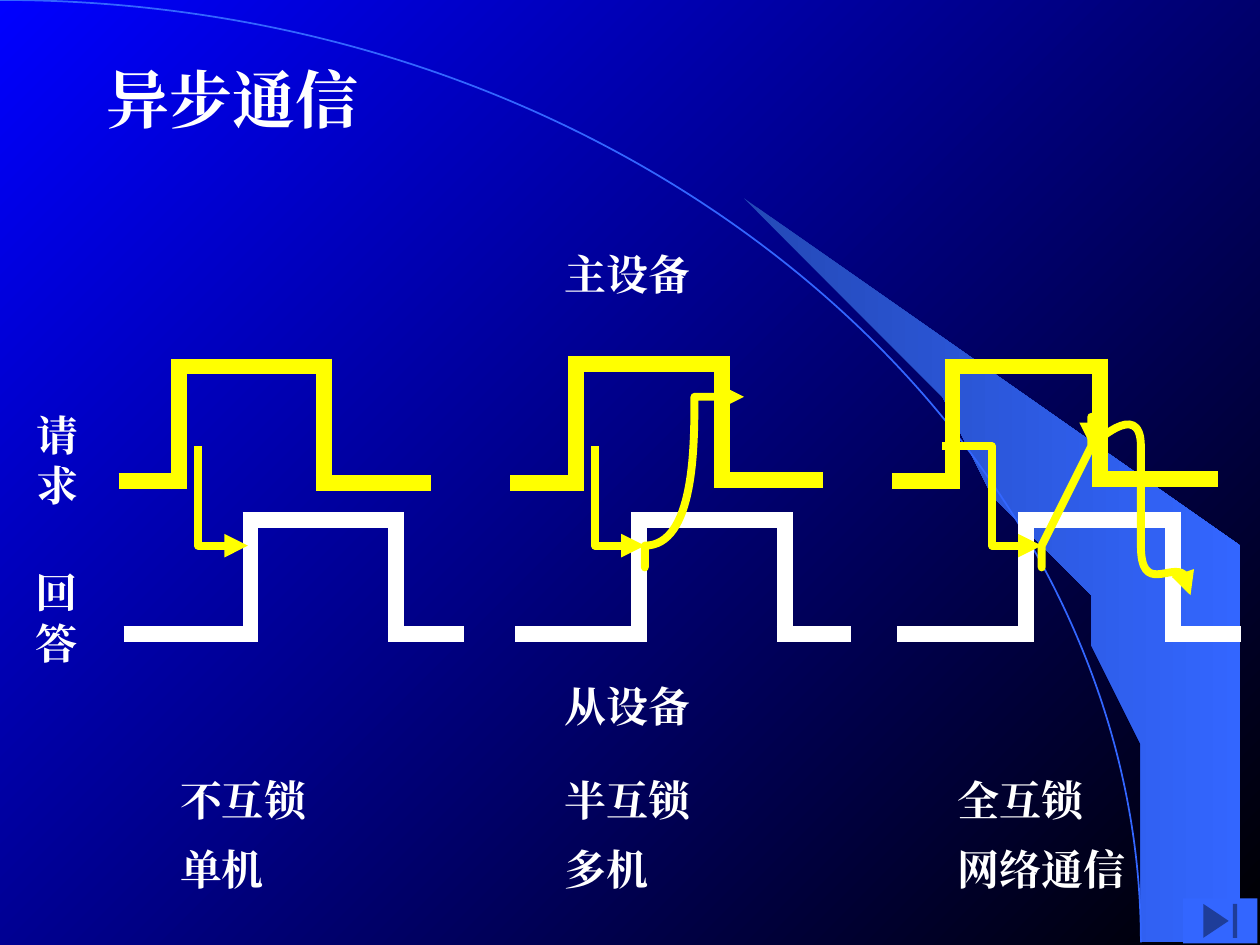
from lxml import etree
from pptx import Presentation
from pptx.dml.color import RGBColor
from pptx.enum.shapes import MSO_CONNECTOR, MSO_SHAPE
from pptx.enum.text import MSO_AUTO_SIZE
from pptx.oxml.ns import qn
from pptx.util import Cm, Pt

STRAIGHT = MSO_CONNECTOR.STRAIGHT
END_BUTTON = MSO_SHAPE.ACTION_BUTTON_END
GROW = MSO_AUTO_SIZE.SHAPE_TO_FIT_TEXT

FONT = "Times New Roman"
WHITE, YELLOW, BLUE = "FFFFFF", "FFFF00", "3366FF"
DEEP_BLUE, PURE_BLUE, BLACK = "2449B6", "0000FF", "000000"
SIGNAL_WIDTH, ARROW_WIDTH = 9, 4.5
OVERHANG = 0.16  # half the signal width, so that corners are closed


def colour(hex_string):
    return RGBColor.from_string(hex_string)


class SlideBuilder:
    def __init__(self, page):
        self.page = page
        self.shapes = page.shapes

    def gradient(self, fill, first, last, angle):
        fill.gradient()
        fill.gradient_angle = angle
        for stop, shade in zip(fill.gradient_stops, (first, last)):
            stop.color.rgb = colour(shade)

    def text(self, left, top, width, height, lines, size=24, wrap=True):
        box = self.shapes.add_textbox(Cm(left), Cm(top), Cm(width), Cm(height))
        frame = box.text_frame
        frame.word_wrap = wrap
        frame.auto_size = GROW
        for number, line in enumerate(lines):
            para = frame.add_paragraph() if number else frame.paragraphs[0]
            span = para.add_run()
            span.text = line
            span.font.size = Pt(size)
            span.font.bold = True
            span.font.color.rgb = colour(WHITE)
            span.font.name = FONT
            properties = span.font._element
            etree.SubElement(properties, qn("a:ea")).set("typeface", FONT)

    def line(self, x1, y1, x2, y2, shade):
        connector = self.shapes.add_connector(
            STRAIGHT, Cm(x1), Cm(y1), Cm(x2), Cm(y2))
        connector.line.color.rgb = colour(shade)
        connector.line.width = Pt(SIGNAL_WIDTH)
        etree.SubElement(connector._element.spPr, qn("a:effectLst"))

    def pulse(self, start, rise, fall, end, top, low_left, low_right, shade):
        self.line(start, low_left, rise + OVERHANG, low_left, shade)
        self.line(rise, low_left + OVERHANG, rise, top - OVERHANG, shade)
        self.line(rise - OVERHANG, top, fall + OVERHANG, top, shade)
        self.line(fall, top - OVERHANG, fall, low_right + OVERHANG, shade)
        self.line(fall - OVERHANG, low_right, end, low_right, shade)

    def outline(self, points, close):
        builder = self.shapes.build_freeform(*points[0], scale=Cm(1))
        builder.add_line_segments(points[1:], close=close)
        shape = builder.convert_to_shape()
        shape.shadow.inherit = False
        return shape

    def band(self, points):
        shape = self.outline(points, close=True)
        self.gradient(shape.fill, DEEP_BLUE, BLUE, 0)
        shape.line.fill.background()

    def curve(self, points, shade, width, arrow=True):
        """Draw Bezier pieces: a start, then two controls and an end each."""
        shape = self.outline(points, close=False)
        path = shape._element.find(".//" + qn("a:path"))
        steps = path.findall(qn("a:lnTo"))
        for first in range(0, len(steps), 3):
            bend = etree.SubElement(path, qn("a:cubicBezTo"))
            for step in steps[first:first + 3]:
                bend.append(step[0])
                path.remove(step)
        shape.fill.background()
        shape.line.color.rgb = colour(shade)
        shape.line.width = Pt(width)
        if arrow:
            stroke = shape._element.spPr.find(qn("a:ln"))
            etree.SubElement(stroke, qn("a:tailEnd")).set("type", "triangle")

    def button(self, left, top, width, height):
        shape = self.shapes.add_shape(
            END_BUTTON, Cm(left), Cm(top), Cm(width), Cm(height))
        shape.shadow.inherit = False
        shape.fill.solid()
        shape.fill.fore_color.rgb = colour(BLUE)
        shape.line.fill.background()


BAND = [
    (23.37, 19), (25.37, 19.02), (25.37, 10.74), (14.96, 4.39), (15.85, 5.05),
    (16.59, 5.64), (17.4, 6.35), (18.19, 7.11), (19.35, 8.38), (20.4, 9.75),
    (21.13, 10.95), (21.79, 12.17), (22.3, 13.41), (22.68, 14.53),
    (22.94, 15.47), (23.19, 16.66), (23.29, 17.68)]
ARC = [(0, 0), (12.9, 0), (23.37, 8.51), (23.37, 19.02)]

# Start, rise, fall, end, top, low level before and after
REQUESTS = [
    (2.39, 3.61, 6.53, 8.69, 7.39, 9.7, 9.73),
    (10.29, 11.61, 14.55, 16.59, 7.34, 9.73, 9.68),
    (17.98, 19.2, 22.17, 24.56, 7.39, 9.7, 9.65)]
# Start, rise, fall, end
ANSWERS = [
    (2.49, 5.05, 7.98, 9.35),
    (10.39, 12.88, 15.82, 17.15),
    (18.08, 20.68, 23.65, 25.02)]
ANSWER_TOP, ANSWER_LOW = 10.49, 12.78

# Request rise to answer rise, repeated in each diagram
RISE_ARROW = [
    (3.66, 9.12), (3.73, 9.12), (3.99, 8.79), (4.11, 9.12), (4.24, 9.42),
    (4.27, 10.62), (4.42, 10.97), (4.57, 11.35), (4.85, 11.28), (4.98, 11.35)]
RISE_SHIFTS = (0, 7.84, 15.65)
# Answer rise to request fall, then request fall to answer fall
INTERLOCK_ARROWS = [
    [(13.03, 11.3), (13.11, 11.28), (13.28, 11.66), (13.44, 11.2),
     (13.59, 10.72), (13.82, 8.94), (14, 8.48), (14.2, 8.05), (14.48, 8.48),
     (14.55, 8.48)],
    [(20.8, 11.38), (20.88, 11.38), (21.06, 11.84), (21.21, 11.38),
     (21.39, 10.9), (21.67, 9.09), (21.82, 8.51), (21.99, 8.05),
     (22.15, 8.53), (22.23, 8.56)],
    [(22.33, 8.81), (22.4, 8.79), (22.71, 8.33), (22.83, 8.71), (22.99, 9.12),
     (22.99, 10.69), (23.11, 11.18), (23.24, 11.63), (23.55, 11.46),
     (23.62, 11.53), (23.7, 11.61), (23.62, 11.61), (23.62, 11.63)]]

MODES = [
    (3.38, "不互锁", "单机"),
    (11.13, "半互锁", "多机"),
    (19.05, "全互锁", "网络通信")]


def main():
    deck = Presentation()
    deck.slide_width, deck.slide_height = Cm(25.4), Cm(19.05)
    page = deck.slides.add_slide(deck.slide_layouts[6])
    slide = SlideBuilder(page)

    # Background
    slide.gradient(page.background.fill, PURE_BLUE, BLACK, 315)
    slide.band(BAND)
    slide.curve(ARC, BLUE, 1, arrow=False)

    # Title and labels
    slide.text(1.9, 1.09, 7.8, 1.78, ["异步通信"], size=36)
    slide.text(11.13, 4.88, 6.43, 1.27, ["主设备"])
    slide.text(11.13, 13.59, 7.49, 1.27, ["从设备"])
    slide.text(0.48, 8.13, 1.37, 2.29, ["请", "求"], wrap=False)
    slide.text(0.46, 11.3, 1.37, 2.29, ["回", "答"], wrap=False)
    for left, mode, usage in MODES:
        slide.text(left, 15.49, 4.24, 1.27, [mode])
        slide.text(left, 16.87, 4.24, 1.27, [usage])

    # Signals
    for request in REQUESTS:
        slide.pulse(*request, YELLOW)
    for answer in ANSWERS:
        slide.pulse(*answer, ANSWER_TOP, ANSWER_LOW, ANSWER_LOW, WHITE)

    # Cause and effect arrows
    for shift in RISE_SHIFTS:
        slide.curve([(x + shift, y) for x, y in RISE_ARROW], YELLOW, ARROW_WIDTH)
    for points in INTERLOCK_ARROWS:
        slide.curve(points, YELLOW, ARROW_WIDTH)

    # Navigation
    slide.button(23.85, 18.11, 1.5, 0.91)

    deck.save("out.pptx")


if __name__ == "__main__":
    main()
